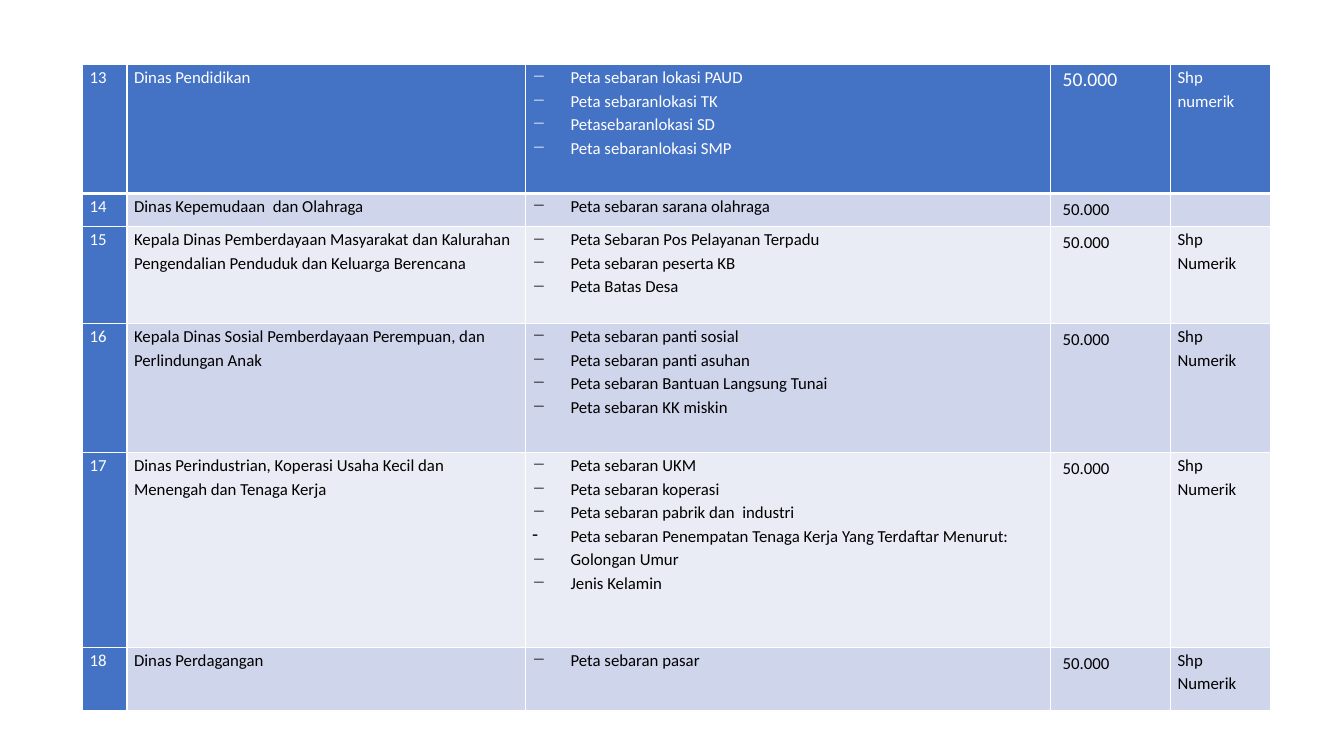
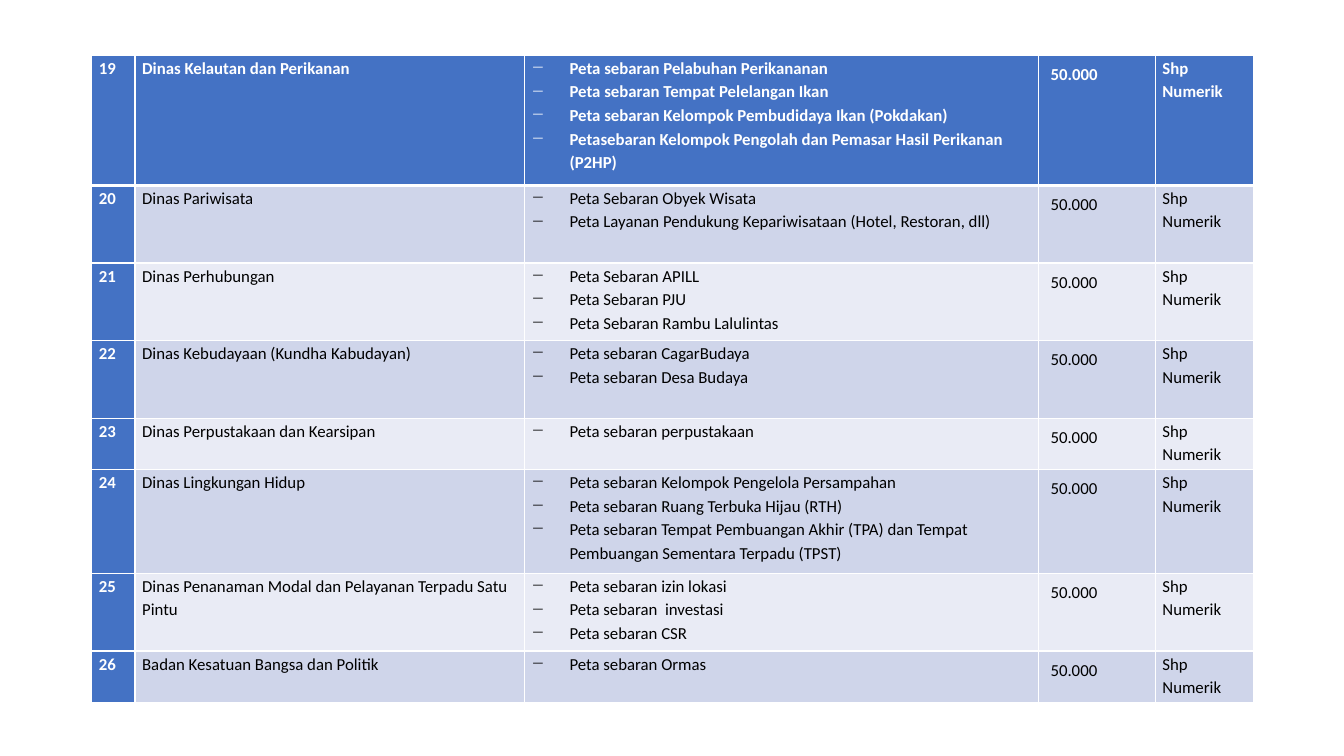
from pptx import Presentation
from pptx.dml.color import RGBColor as Rgb
from pptx.oxml.ns import qn
from pptx.util import Inches, Pt
from lxml.etree import SubElement

# Shared look
WHITE = Rgb(0xFF, 0xFF, 0xFF)
BLACK = Rgb(0x00, 0x00, 0x00)
BLUE = Rgb(0x44, 0x72, 0xC4)
BANDS = (Rgb(0xE9, 0xEB, 0xF5), Rgb(0xCF, 0xD5, 0xEA))
FONT = "Calibri"
TEXT_SIZE = 12
LINE_SPACING = 1.15
HANGING = Inches(0.38)
DASH = "−"
SCALE = "50.000"
SHP = ("Shp", "Numerik")
CELL_MARGINS = {
    "margin_left": Inches(0.07), "margin_right": Inches(0.07),
    "margin_top": 0, "margin_bottom": 0,
}
SCALE_COLUMN = 3

# Each row: height, number, agency, maps, file formats
AGENCIES_13_TO_18 = [
    (1.28, "13", "Dinas Pendidikan",
     ["Peta sebaran lokasi PAUD", "Peta sebaranlokasi TK",
      "Petasebaranlokasi SD", "Peta sebaranlokasi SMP"], ("Shp", "numerik")),
    (0.33, "14", "Dinas Kepemudaan  dan Olahraga",
     ["Peta sebaran sarana olahraga"], ()),
    (0.96, "15", "Kepala Dinas Pemberdayaan Masyarakat dan Kalurahan "
     "Pengendalian Penduduk dan Keluarga Berencana",
     ["Peta Sebaran Pos Pelayanan Terpadu", "Peta sebaran peserta KB",
      "Peta Batas Desa"], SHP),
    (1.28, "16", "Kepala Dinas Sosial Pemberdayaan Perempuan, dan "
     "Perlindungan Anak",
     ["Peta sebaran panti sosial", "Peta sebaran panti asuhan",
      "Peta sebaran Bantuan Langsung Tunai", "Peta sebaran KK miskin"], SHP),
    (1.93, "17", "Dinas Perindustrian, Koperasi Usaha Kecil dan Menengah "
     "dan Tenaga Kerja",
     ["Peta sebaran UKM", "Peta sebaran koperasi",
      "Peta sebaran pabrik dan  industri",
      "Peta sebaran Penempatan Tenaga Kerja Yang Terdaftar Menurut:",
      "Golongan Umur", "Jenis Kelamin"], SHP),
    (0.63, "18", "Dinas Perdagangan", ["Peta sebaran pasar"], SHP),
]
AGENCIES_19_TO_26 = [
    (1.29, "19", "Dinas Kelautan dan Perikanan",
     ["Peta sebaran Pelabuhan Perikananan",
      "Peta sebaran Tempat Pelelangan Ikan",
      "Peta sebaran Kelompok Pembudidaya Ikan (Pokdakan)",
      "Petasebaran Kelompok Pengolah dan Pemasar Hasil Perikanan (P2HP)"],
     SHP),
    (0.77, "20", "Dinas Pariwisata",
     ["Peta Sebaran Obyek Wisata",
      "Peta Layanan Pendukung Kepariwisataan (Hotel, Restoran, dll)"], SHP),
    (0.77, "21", "Dinas Perhubungan",
     ["Peta Sebaran APILL", "Peta Sebaran PJU",
      "Peta Sebaran Rambu Lalulintas"], SHP),
    (0.77, "22", "Dinas Kebudayaan (Kundha Kabudayan)",
     ["Peta sebaran CagarBudaya", "Peta sebaran Desa Budaya"], SHP),
    (0.51, "23", "Dinas Perpustakaan dan Kearsipan",
     ["Peta sebaran perpustakaan"], SHP),
    (1.03, "24", "Dinas Lingkungan Hidup",
     ["Peta sebaran Kelompok Pengelola Persampahan",
      "Peta sebaran Ruang Terbuka Hijau (RTH)",
      "Peta sebaran Tempat Pembuangan Akhir (TPA) dan Tempat "
      "Pembuangan Sementara Terpadu (TPST)"], SHP),
    (0.77, "25", "Dinas Penanaman Modal dan Pelayanan Terpadu Satu Pintu",
     ["Peta sebaran izin lokasi", "Peta sebaran  investasi",
      "Peta sebaran CSR"], SHP),
    (0.51, "26", "Badan Kesatuan Bangsa dan Politik",
     ["Peta sebaran Ormas"], SHP),
]


def set_all(target, values):
    for name, value in values.items():
        setattr(target, name, value)


def add_borders(cell, top, bottom):
    """Draw white cell borders; widths in points."""
    properties = cell._tc.get_or_add_tcPr()
    for side, width in (("L", 1), ("R", 1), ("T", top), ("B", bottom)):
        line = SubElement(properties, qn(f"a:ln{side}"), w=str(Pt(width)))
        fill = SubElement(line, qn("a:solidFill"))
        SubElement(fill, qn("a:srgbClr"), val=str(WHITE))


def add_dash(paragraph, dash):
    properties = paragraph._p.get_or_add_pPr()
    properties.set("marL", str(HANGING))
    properties.set("indent", str(-HANGING))
    SubElement(properties, qn("a:buChar"), char=dash)


def write_cell(cell, lines, color, bold, size=TEXT_SIZE, dashed=False):
    for index, line in enumerate(lines):
        frame = cell.text_frame
        paragraph = frame.add_paragraph() if index else frame.paragraphs[0]
        if dashed:
            # The line that introduces a sub-list has a short hyphen
            add_dash(paragraph, "-" if line.endswith(":") else DASH)
        paragraph.line_spacing = LINE_SPACING
        run = paragraph.add_run()
        run.text = line
        set_all(run.font, {"name": FONT, "size": Pt(size), "bold": bold})
        run.font.color.rgb = color


def add_agency_table(slide, box, widths, agencies, bold_heads,
                     scale_margins, first_scale):
    """Fill the box with one row per agency; the first row is the header."""
    left, top, width, height = (Inches(length) for length in box)
    table = slide.shapes.add_table(
        len(agencies), len(widths), left, top, width, height).table
    for column, column_width in zip(table.columns, widths):
        column.width = Inches(column_width)

    for row, (row_height, number, agency, maps, formats) in enumerate(agencies):
        table.rows[row].height = Inches(row_height)
        contents = ([number], [agency], maps, [SCALE], formats)
        for column, lines in enumerate(contents):
            cell = table.cell(row, column)
            is_head = row == 0 or column == 0
            is_scale = column == SCALE_COLUMN
            margins = dict(CELL_MARGINS)
            size = TEXT_SIZE
            if is_scale:
                margins.update(scale_margins)
                if row == 0:
                    margins.update(first_scale["margins"])
                    size = first_scale["size"]
            set_all(cell, margins)
            add_borders(cell, 3 if row == 1 else 1, 3 if row == 0 else 1)
            cell.fill.solid()
            cell.fill.fore_color.rgb = BLUE if is_head else BANDS[row % 2]
            write_cell(cell, lines, WHITE if is_head else BLACK,
                       is_head and bold_heads, size, dashed=lines is maps)


def main():
    deck = Presentation()
    set_all(deck, {"slide_width": Inches(13.33), "slide_height": Inches(7.5)})
    blank = deck.slide_layouts[6]

    # Agencies 13 to 18
    add_agency_table(
        deck.slides.add_slide(blank), (0.82, 0.64, 11.78, 6.42),
        (0.44, 3.95, 5.21, 1.19, 0.99), AGENCIES_13_TO_18, False,
        {"margin_left": Inches(0.12), "margin_top": Inches(0.03)},
        {"margins": {"margin_top": 0}, "size": 14})

    # Agencies 19 to 26
    add_agency_table(
        deck.slides.add_slide(blank), (0.91, 0.55, 11.52, 6.4),
        (0.43, 3.86, 5.1, 1.16, 0.97), AGENCIES_19_TO_26, True,
        {"margin_left": Inches(0.12), "margin_top": Inches(0.06)},
        {"margins": {}, "size": TEXT_SIZE})

    deck.save("out.pptx")


if __name__ == "__main__":
    main()
